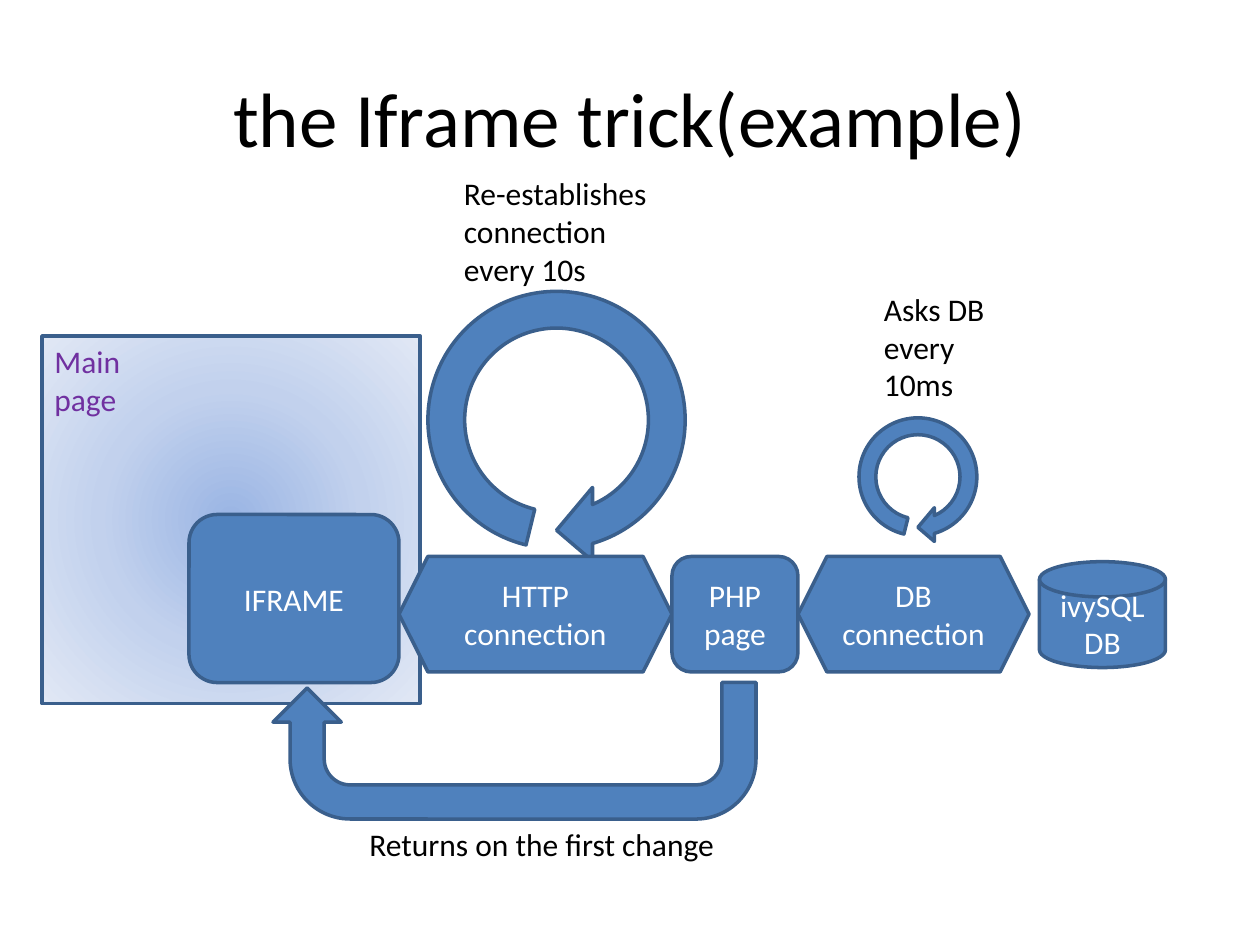
from dataclasses import dataclass

from lxml import etree
from pptx import Presentation
from pptx.dml.color import RGBColor
from pptx.enum import shapes, text
from pptx.oxml.ns import qn
from pptx.util import Pt


@dataclass(frozen=True)
class Theme:
    font: str = "Calibri"
    head: int = 44
    body: int = 18
    edge: int = 2
    fill: str = "4F81BD"
    line: str = "3A5F8C"
    ink: str = "000000"
    pale: str = "FFFFFF"
    note: str = "7030A0"
    glow: tuple = ((0, "9AB5E4"), (50, "C2D1ED"), (100, "E1E8F5"))


T = Theme()
KIND = shapes.MSO_SHAPE
MID, TOP = text.MSO_ANCHOR.MIDDLE, text.MSO_ANCHOR.TOP
LEFT, CENTER = text.PP_ALIGN.LEFT, text.PP_ALIGN.CENTER

# Content; boxes are left, top, width, height in points
TITLE = "the Iframe trick(example)"
LOOPS = [(486, 234, 77), (234, 156, 168)]  # left, top, side
LOOP_ADJ = (0.125, 11.42, 204.58, 8.23, 0.125)
PAGE = (["Main", "page"], (24, 192, 216, 210))
FRAME = (["IFRAME"], (108, 294, 120, 96))
STORE = (["ivySQL", "DB"], (594, 321, 72, 60.5))
BACK = (156, 390, 276, 78)
BACK_ADJ = (0.25, 0.25, 0.25, 0.44, 0.96)
CHAIN = [  # the parts touch, starting at the frame's right side
    (KIND.HEXAGON, ["HTTP", "connection"], 156),
    (KIND.ROUNDED_RECTANGLE, ["PHP", "page"], 72),
    (KIND.HEXAGON, ["DB", "connection"], 132),
]
CHAIN_TOP, CHAIN_TALL = 318, 66
NOTES = [
    ("Asks DB every 10ms", (498, 162, 72, 72.7)),
    ("Re-establishes connection every 10s", (258, 96, 120, 72.7)),
    ("Returns on the first change", (204, 468, 222, 29)),
]


def write(shape, lines, size=T.body, color=T.pale, align=CENTER, anchor=MID):
    frame = shape.text_frame
    frame.word_wrap = True
    frame.vertical_anchor = anchor
    for i, line in enumerate(lines):
        par = frame.add_paragraph() if i else frame.paragraphs[0]
        par.alignment = align
        run = par.add_run()
        run.text = line
        run.font.name = T.font
        run.font.size = Pt(size)
        run.font.color.rgb = RGBColor.from_string(color)


def draw(kind, box, adj=(), turn=0):
    shape = slide.shapes.add_shape(kind, *map(Pt, box))
    shape.shadow.inherit = False
    shape.fill.solid()
    shape.fill.fore_color.rgb = RGBColor.from_string(T.fill)
    shape.line.color.rgb = RGBColor.from_string(T.line)
    shape.line.width = Pt(T.edge)
    shape.rotation = turn
    for i, value in enumerate(adj):
        shape.adjustments[i] = value
    return shape


def glow(shape):
    """Swap the solid fill for a round gradient from the centre."""
    old = shape.element.spPr.find(qn("a:solidFill"))
    grad = etree.Element(qn("a:gradFill"), rotWithShape="1")
    stops = etree.SubElement(grad, qn("a:gsLst"))
    for pos, color in T.glow:
        stop = etree.SubElement(stops, qn("a:gs"), pos=str(pos * 1000))
        etree.SubElement(stop, qn("a:srgbClr"), val=color)
    way = etree.SubElement(grad, qn("a:path"), {"path": "circle"})
    etree.SubElement(way, qn("a:fillToRect"), {s: "50000" for s in "ltrb"})
    old.getparent().replace(old, grad)


deck = Presentation()
deck.slide_width, deck.slide_height = Pt(720), Pt(540)
slide = deck.slides.add_slide(deck.slide_layouts[5])

# Title
head = slide.shapes.title
head.left, head.top, head.width, head.height = map(Pt, (36, 21.6, 648, 90))
write(head, [TITLE], size=T.head, color=T.ink)

# Polling loops
for x, y, side in LOOPS:
    draw(KIND.CIRCULAR_ARROW, (x, y, side, side), LOOP_ADJ, 90)

# Main page
lines, box = PAGE
page = draw(KIND.RECTANGLE, box)
glow(page)
write(page, lines, color=T.note, align=LEFT, anchor=TOP)

# Database and frame
for kind, (lines, box) in (
    (KIND.FLOWCHART_MAGNETIC_DISK, STORE),
    (KIND.ROUNDED_RECTANGLE, FRAME),
):
    write(draw(kind, box), lines)

# Chain of connections
x = FRAME[1][0] + FRAME[1][2]
for kind, lines, wide in CHAIN:
    write(draw(kind, (x, CHAIN_TOP, wide, CHAIN_TALL)), lines)
    x += wide

# Return arrow
draw(KIND.U_TURN_ARROW, BACK, BACK_ADJ, 180)

# Notes
for note, box in NOTES:
    area = slide.shapes.add_textbox(*map(Pt, box))
    write(area, [note], color=T.ink, align=LEFT, anchor=TOP)

deck.save("out.pptx")
